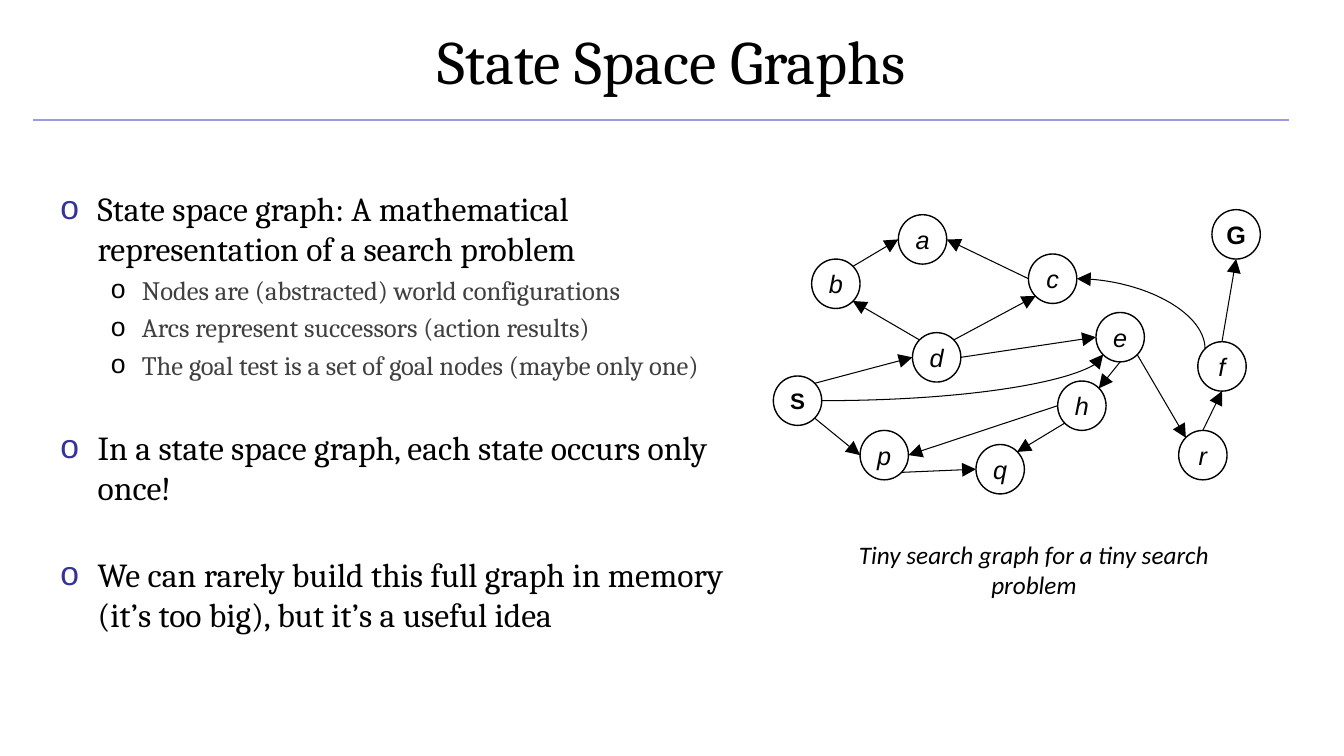
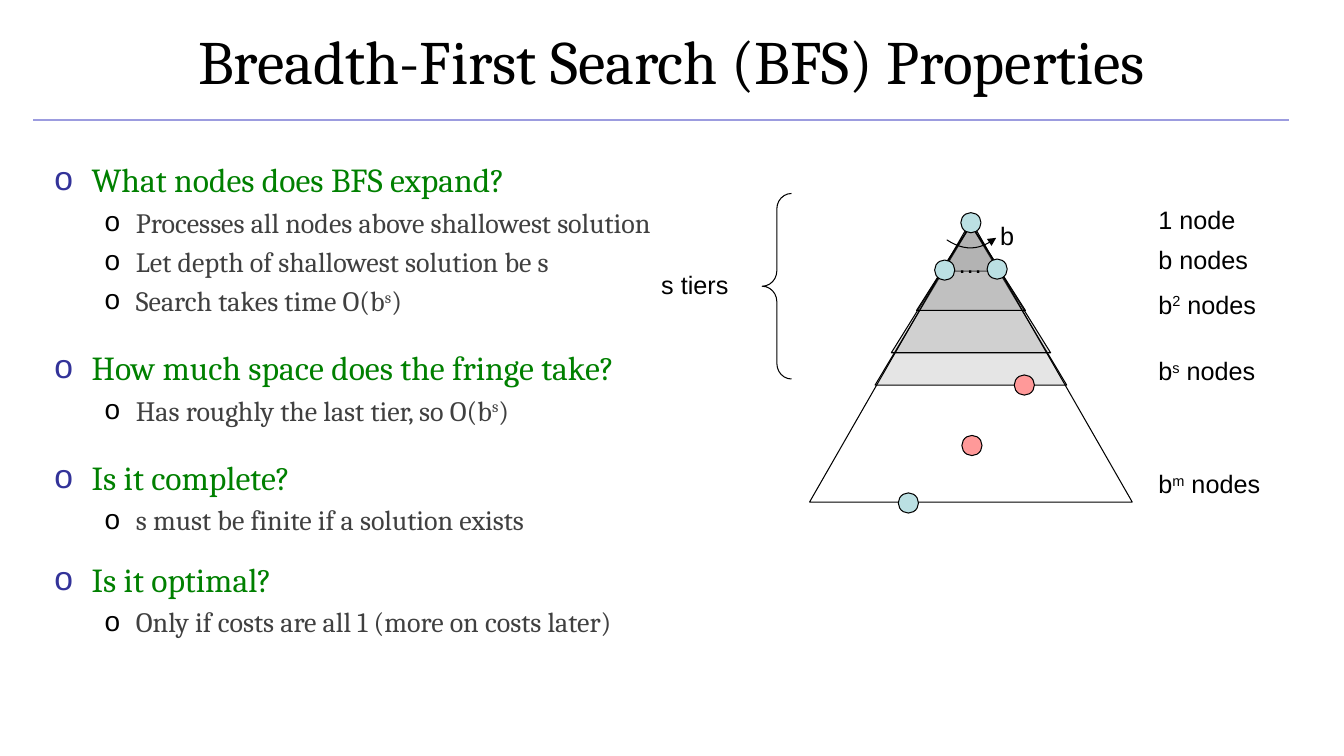
"""Build two lecture slides on state space graphs and breadth-first search."""
import dataclasses

import lxml.etree
import pptx
import pptx.dml.color
import pptx.enum.shapes
import pptx.enum.text
import pptx.oxml.ns
import pptx.util

Inches = pptx.util.Inches
Pt = pptx.util.Pt
qn = pptx.oxml.ns.qn
PRESET = pptx.enum.shapes.MSO_SHAPE
CONNECTOR = pptx.enum.shapes.MSO_CONNECTOR
ANCHOR = pptx.enum.text.MSO_ANCHOR
ALIGN = pptx.enum.text.PP_ALIGN


@dataclasses.dataclass(frozen=True)
class Theme:
    """Colours, fonts and type sizes of the deck."""

    ink: str = "000000"
    detail: str = "404040"
    question: str = "008000"
    bullet: str = "333399"
    rule: str = "9C9CDF"
    tier: str = "808080"
    node: str = "BBE0E3"
    goal: str = "FF9999"
    serif: str = "Cambria"
    sans: str = "Arial"
    caption: str = "Calibri"
    title_size: int = 44
    head_size: int = 24
    label_size: int = 18
    start_size: int = 16
    outline: float = 1
    hairline: float = 0.75


THEME = Theme()

NODE_SIZE = (0.48, 0.49)
NODES = {
    "S": (0, 1.65), "G": (4.35, 0), "d": (1.38, 1.22), "b": (0.38, 0.49),
    "p": (0.86, 2.19), "q": (2.01, 2.33), "c": (2.53, 0.44), "e": (3.2, 1.02),
    "h": (2.82, 1.7), "a": (1.24, 0.05), "f": (4.21, 1.31), "r": (4.02, 2.19),
}
SITES = {
    "top": (0.5, 0), "left": (0, 0.5), "bottom": (0.5, 1), "right": (1, 0.5),
    "top left": (0.15, 0.15), "top right": (0.85, 0.15),
    "bottom left": (0.15, 0.85), "bottom right": (0.85, 0.85),
}
EDGES = [
    ("S", "bottom right", "p", "left"), ("p", "bottom right", "q", "left"),
    ("h", "bottom left", "q", "top right"), ("h", "left", "p", "right"),
    ("e", "bottom", "h", "top right"), ("e", "bottom right", "r", "top left"),
    ("r", "top", "f", "bottom"), ("f", "top", "G", "bottom"),
    ("S", "top right", "d", "left"), ("d", "top left", "b", "bottom right"),
    ("b", "top right", "a", "left"), ("c", "left", "a", "right"),
    ("d", "top right", "c", "bottom left"), ("d", "right", "e", "left"),
]

GRAPH_POINTS = [
    (0, 0, ["State space graph: A mathematical representation of a search problem"]),
    (1, 4, ["Nodes are (abstracted) world configurations"]),
    (1, 4, ["Arcs represent successors (action results)"]),
    (1, 4, ["The goal test is a set of goal nodes (maybe only one)"]),
    (0, 33, ["In a state space graph, each state occurs only once!"]),
    (0, 33, ["We can rarely build this full graph in memory (it’s too big), "
             "but it’s a useful idea"]),
]
BFS_POINTS = [
    (0, 0, ["What nodes does BFS expand?"]),
    (1, 4, ["Processes all nodes above shallowest solution"]),
    (1, 4, ["Let depth of shallowest solution be s"]),
    (1, 4, ["Search takes time O(b", "s", ")"]),
    (0, 21.5, ["How much space does the fringe take?"]),
    (1, 4, ["Has roughly the last tier, so O(b", "s", ")"]),
    (0, 21.5, ["Is it complete?"]),
    (1, 4, ["s must be finite if a solution exists"]),
    (0, 16, ["Is it optimal?"]),
    (1, 4, ["Only if costs are all 1 (more on costs later)"]),
]


def rgb(code):
    """Return the colour for a hex code."""
    return pptx.dml.color.RGBColor.from_string(code)


def style_font(paragraph, name, size, color=THEME.ink, bold=False, italic=False):
    """Set the font of a whole paragraph."""
    font = paragraph.font
    font.name, font.size, font.bold, font.italic = name, Pt(size), bold, italic
    font.color.rgb = rgb(color)


def add_parts(paragraph, parts):
    """Add text parts as runs, every second one as superscript."""
    for index, part in enumerate(parts):
        run = paragraph.add_run()
        run.text = part
        if index % 2:
            run.font.element.set("baseline", "30000") if hasattr(run.font, "element") \
                else run.font._element.set("baseline", "30000")


def add_text(slide, box, parts, name, size, align=ALIGN.LEFT, anchor=ANCHOR.TOP, italic=False):
    """Add a one-paragraph text box."""
    frame = slide.shapes.add_textbox(*map(Inches, box)).text_frame
    frame.word_wrap = True
    frame.vertical_anchor = anchor
    paragraph = frame.paragraphs[0]
    paragraph.alignment = align
    add_parts(paragraph, parts)
    style_font(paragraph, name, size, italic=italic)


def style_outline(shape, width, fill=None):
    """Give a shape a black outline and an optional fill."""
    shape.shadow.inherit = False
    shape.line.color.rgb = rgb(THEME.ink)
    shape.line.width = Pt(width)
    if fill:
        shape.fill.solid()
        shape.fill.fore_color.rgb = rgb(fill)
    else:
        shape.fill.background()


def add_arrowhead(shape, end, size):
    """Put a triangle on one end of a line."""
    line = shape.element.spPr.find(qn("a:ln"))
    lxml.etree.SubElement(line, qn(f"a:{end}"), type="triangle", w=size, len=size)


def add_line(slide, start, stop, color, width, kind=CONNECTOR.STRAIGHT):
    """Add a connector without a shadow."""
    line = slide.shapes.add_connector(kind, *map(Inches, (*start, *stop)))
    line.line.color.rgb = rgb(color)
    line.line.width = Pt(width)
    lxml.etree.SubElement(line.element.spPr, qn("a:effectLst"))
    return line


def add_outline(slide, points, closed=True):
    """Add a freeform through points given in inches."""
    corners = [tuple(map(Inches, point)) for point in points]
    builder = slide.shapes.build_freeform(*corners[0])
    builder.add_line_segments(corners[1:], close=closed)
    return builder.convert_to_shape()


def add_titled_slide(deck, title):
    """Add a blank slide with the shared title and rule."""
    slide = deck.slides.add_slide(deck.slide_layouts[6])
    add_line(slide, (0.33, 1.19), (12.78, 1.19), THEME.rule, THEME.outline)
    add_text(slide, (0, 0, 13.33, 1.19), [title], THEME.serif, THEME.title_size,
             ALIGN.CENTER, ANCHOR.MIDDLE)
    return slide


def add_bullets(slide, box, points, head_color, detail_size):
    """Add a two-level bulleted list."""
    levels = [
        (0.37, -0.37, THEME.bullet, head_color, THEME.head_size),
        (0.81, -0.31, THEME.ink, THEME.detail, detail_size),
    ]
    frame = slide.shapes.add_textbox(*map(Inches, box)).text_frame
    frame.word_wrap = True
    for index, (level, gap, parts) in enumerate(points):
        margin, indent, bullet_color, color, size = levels[level]
        paragraph = frame.add_paragraph() if index else frame.paragraphs[0]
        paragraph.level = level
        paragraph.space_before = Pt(gap)
        add_parts(paragraph, parts)
        properties = paragraph._p.get_or_add_pPr()
        properties.set("marL", str(Inches(margin)))
        properties.set("indent", str(Inches(indent)))
        tint = lxml.etree.SubElement(properties, qn("a:buClr"))
        lxml.etree.SubElement(tint, qn("a:srgbClr"), val=bullet_color)
        lxml.etree.SubElement(properties, qn("a:buFont"), typeface=THEME.sans)
        lxml.etree.SubElement(properties, qn("a:buChar"), char="o")
        style_font(paragraph, THEME.serif, size, color)


def add_search_graph(slide, left, top):
    """Draw the search graph with its nodes, arcs and caption."""
    def site(node, side):
        """Return the point on a node where an arc meets it."""
        return tuple(origin + offset + size * share for origin, offset, size, share
                     in zip((left, top), NODES[node], NODE_SIZE, SITES[side]))

    for name, (x, y) in NODES.items():
        node = slide.shapes.add_shape(PRESET.FLOWCHART_CONNECTOR,
                                      *map(Inches, (left + x, top + y, *NODE_SIZE)))
        style_outline(node, THEME.outline)
        frame = node.text_frame
        frame.word_wrap = False
        frame.vertical_anchor = ANCHOR.MIDDLE
        label = frame.paragraphs[0]
        label.alignment = ALIGN.CENTER
        add_parts(label, [name])
        style_font(label, THEME.sans, THEME.start_size if name == "S" else THEME.label_size,
                   bold=name.isupper(), italic=name.islower())

    for source, source_side, target, target_side in EDGES:
        arc = add_line(slide, site(source, source_side), site(target, target_side),
                       THEME.ink, THEME.hairline)
        add_arrowhead(arc, "tailEnd", "lg")

    for start, stop, end in [
        (site("S", "right"), site("e", "bottom left"), "tailEnd"),
        (site("c", "right"), site("f", "top left"), "headEnd"),
    ]:
        arc = add_line(slide, start, stop, THEME.ink, THEME.hairline, CONNECTOR.CURVE)
        arc.element.spPr.find(qn("a:prstGeom")).set("prst", "curvedConnector2")
        add_arrowhead(arc, end, "lg")

    add_text(slide, (left + 0.75, top + 3.22, 3.67, 0.71),
             ["Tiny search graph for a tiny search problem"],
             THEME.caption, THEME.label_size, ALIGN.CENTER, italic=True)


def add_search_pyramid(slide, apex, top):
    """Draw the tiers of the search tree around its apex."""
    def triangle(peak, base, half):
        """Add one triangle below the apex."""
        return add_outline(slide, [(apex, top + peak), (apex - half, top + base),
                                   (apex + half, top + base)])

    for base, half in [(0.5, 0.3), (1.63, 0.95), (1.31, 0.79), (0.89, 0.54)]:
        tier = triangle(0.04, base, half)
        style_outline(tier, THEME.hairline, THEME.tier)
        tint = tier.element.spPr.find(qn("a:solidFill"))[0]
        lxml.etree.SubElement(tint, qn("a:alpha"), val="20000")
    style_outline(triangle(0, 2.79, 1.6), THEME.hairline)

    for x, y, color in [
        (0, 0.02, THEME.node), (-0.26, 0.49, THEME.node), (0.26, 0.48, THEME.node),
        (-0.62, 2.8, THEME.node), (0.53, 1.63, THEME.goal), (0.01, 2.23, THEME.goal),
    ]:
        dot = slide.shapes.add_shape(
            PRESET.OVAL, *map(Inches, (apex + x - 0.1, top + y - 0.1, 0.2, 0.2)))
        style_outline(dot, THEME.hairline, color)

    controls = [(-0.24, 0.19), (-0.07, 0.3), (0.08, 0.3), (0.25, 0.17)]
    steps = 12
    sweep = []
    for step in range(steps + 1):
        t = step / steps
        weights = ((1 - t) ** 3, 3 * t * (1 - t) ** 2, 3 * t * t * (1 - t), t ** 3)
        x, y = (sum(w * c for w, c in zip(weights, axis)) for axis in zip(*controls))
        sweep.append((apex + x, top + y))
    branching = add_outline(slide, sweep, closed=False)
    style_outline(branching, THEME.hairline)
    add_arrowhead(branching, "tailEnd", "med")

    for x, y, width, text in [(-0.23, 0.22, 0.3, "…"), (0.19, -0.05, 0.33, "b")]:
        add_text(slide, (apex + x, top + y, width, 0.4), [text], THEME.sans, THEME.label_size)


def add_tier_labels(slide, left, top):
    """Write the number of nodes beside each tier."""
    for y, parts in [
        (0, ["1 node"]), (0.39, ["b nodes"]), (0.84, ["b", "2", " nodes"]),
        (1.5, ["b", "s", " nodes"]), (2.62, ["b", "m", " nodes"]),
    ]:
        add_text(slide, (left, top + y, 1.6, 0.4), parts, THEME.sans, THEME.label_size)


def add_depth_brace(slide, left, top):
    """Bracket the tiers down to the shallowest solution."""
    brace = slide.shapes.add_shape(PRESET.LEFT_BRACE,
                                   *map(Inches, (left + 1.1, top, 0.29, 1.84)))
    brace.adjustments[0] = 0.53
    style_outline(brace, THEME.hairline)
    add_text(slide, (left, top + 0.7, 1.1, 0.4), ["s tiers"], THEME.sans, THEME.label_size)


def main():
    """Build and save the deck."""
    deck = pptx.Presentation()
    deck.slide_width, deck.slide_height = Inches(13.33), Inches(7.5)

    graphs = add_titled_slide(deck, "State Space Graphs")
    add_bullets(graphs, (0.5, 1.81, 6.92, 4.95), GRAPH_POINTS, THEME.ink, 19)
    add_search_graph(graphs, 7.67, 2.08)

    bfs = add_titled_slide(deck, "Breadth-First Search (BFS) Properties")
    add_bullets(bfs, (0.44, 1.53, 6.78, 5.17), BFS_POINTS, THEME.question, 20)
    add_search_pyramid(bfs, 9.63, 2.19)
    add_tier_labels(bfs, 11.39, 1.98)
    add_depth_brace(bfs, 6.46, 1.92)

    deck.save("out.pptx")


if __name__ == "__main__":
    main()
